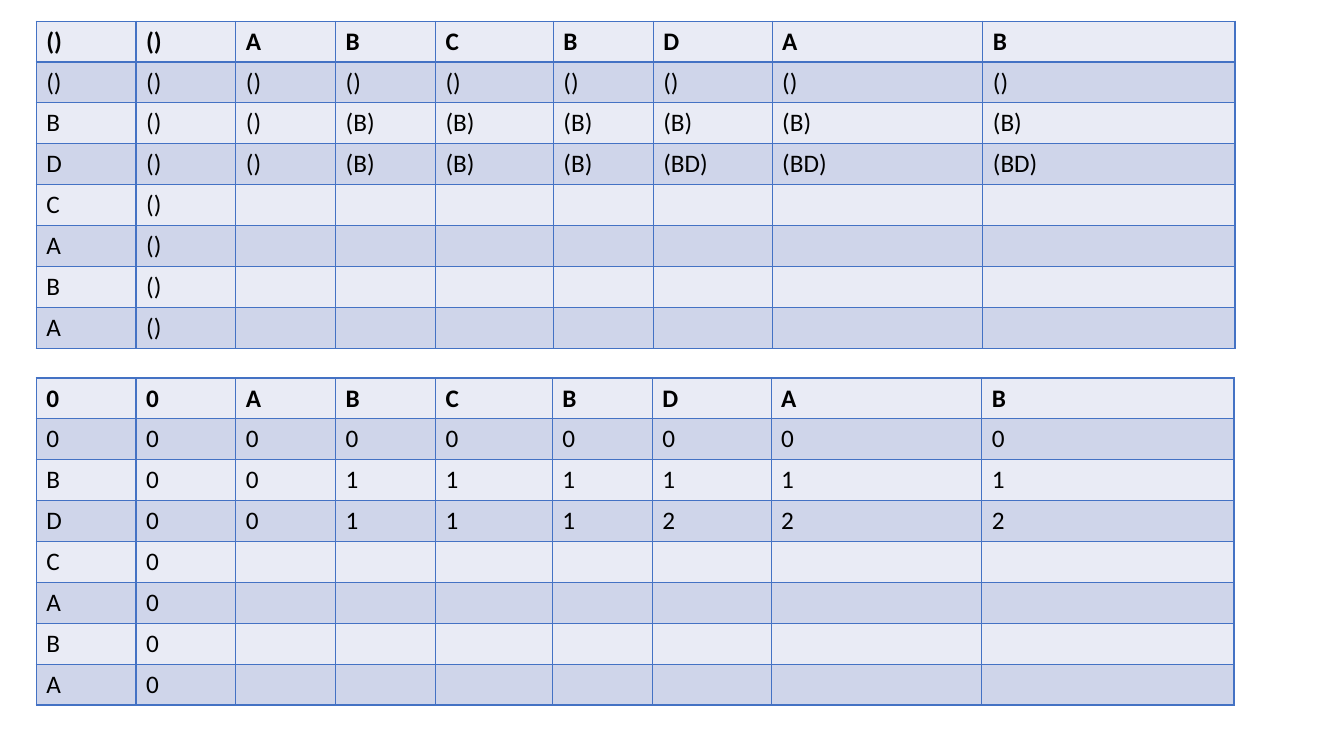
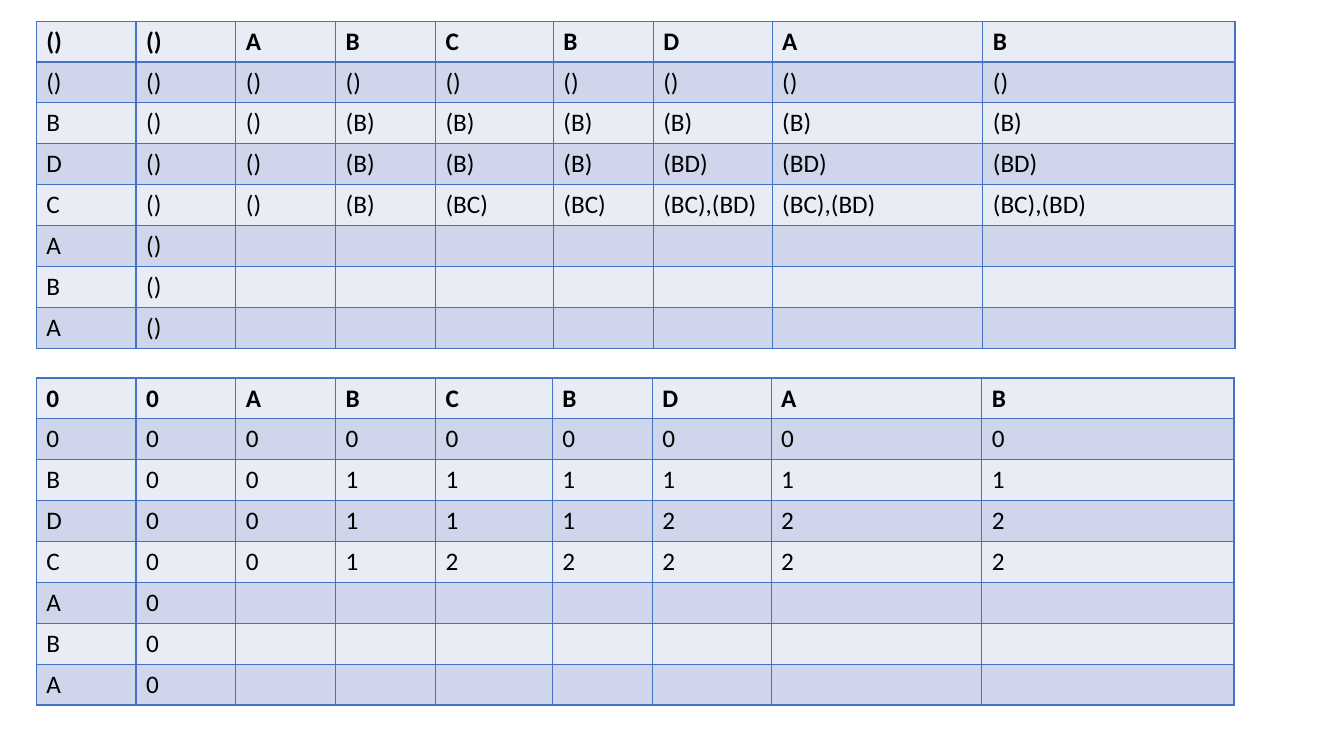
import pptx
import pptx.dml.color
import pptx.oxml
import pptx.oxml.ns
import pptx.util
from pptx.util import Inches

BORDER = pptx.dml.color.RGBColor(0x44, 0x72, 0xC4)
TEXT = pptx.dml.color.RGBColor(0x00, 0x00, 0x00)
BANDS = (
    pptx.dml.color.RGBColor(0xE9, 0xEB, 0xF5),
    pptx.dml.color.RGBColor(0xCF, 0xD5, 0xEA),
)

# The two sequences being compared, and the subsequences found row by row
ACROSS = "ABCBDAB"
DOWN = "BDCABA"
EMPTY = "()"
FOUND = [
    [EMPTY] + ["(B)"] * 6,
    [EMPTY] + ["(B)"] * 3 + ["(BD)"] * 3,
    [EMPTY, "(B)"] + ["(BC)"] * 2 + ["(BC),(BD)"] * 3,
]
ROWS_FOUND_PER_SLIDE = (2, 3)


def length_of(subsequences):
    """Length of the first listed subsequence, without its brackets."""
    return str(len(subsequences.split(",")[0]) - len(EMPTY))


def grid(found, start):
    """Header, base row, then one row per letter; open rows stay blank."""
    rows = [[start, start, *ACROSS], [start] * (len(ACROSS) + 2)]
    for index, letter in enumerate(DOWN):
        values = found[index] if index < len(found) else [""] * len(ACROSS)
        rows.append([letter, start, *values])
    return rows


class Deck:
    FONT = {"name": "Calibri", "size": pptx.util.Pt(18)}
    TABLE_FLAGS = {"first_row": False, "horz_banding": False}
    LEFT = Inches(0.36)
    TABLE_HEIGHT = Inches(3.24)

    def __init__(self):
        self.presentation = pptx.Presentation()
        self.presentation.slide_width = Inches(13.33)
        self.presentation.slide_height = Inches(7.5)
        self.slide = None

    def new_slide(self):
        blank = self.presentation.slide_layouts[6]
        self.slide = self.presentation.slides.add_slide(blank)

    def table(self, top, rows, c_width):
        """Draw a banded grid; c_width is the width of the column headed C."""
        widths = [0.99] * 4 + [c_width, 0.99, 1.18, 2.09, 2.5]
        table = self.slide.shapes.add_table(
            len(rows), len(widths), self.LEFT, Inches(top),
            Inches(sum(widths)), self.TABLE_HEIGHT).table
        for flag, value in self.TABLE_FLAGS.items():
            setattr(table, flag, value)
        for column, width in zip(table.columns, widths):
            column.width = Inches(width)
        for r, values in enumerate(rows):
            for c, value in enumerate(values):
                self.cell(table.cell(r, c), value, BANDS[r % 2], bold=r == 0)

    def cell(self, cell, value, band, bold):
        self.borders(cell)
        cell.fill.solid()
        cell.fill.fore_color.rgb = band
        cell.text = value
        font = cell.text_frame.paragraphs[0].font
        if value:
            font = cell.text_frame.paragraphs[0].runs[0].font
        for attribute, setting in {**self.FONT, "bold": bold}.items():
            setattr(font, attribute, setting)
        font.color.rgb = TEXT

    def borders(self, cell):
        properties = cell._tc.get_or_add_tcPr()
        for side in ("lnL", "lnR", "lnT", "lnB"):
            properties.append(pptx.oxml.parse_xml(
                f'<a:{side} {pptx.oxml.ns.nsdecls("a")} w="{pptx.util.Pt(1)}">'
                f'<a:solidFill><a:srgbClr val="{BORDER}"/></a:solidFill>'
                f'</a:{side}>'))


def main():
    deck = Deck()
    for row_count in ROWS_FOUND_PER_SLIDE:
        found = FOUND[:row_count]
        lengths = [[length_of(entry) for entry in row] for row in found]
        deck.new_slide()
        # Subsequences above, their lengths below
        deck.table(0.21, grid(found, EMPTY), c_width=1.17)
        deck.table(3.75, grid(lengths, length_of(EMPTY)), c_width=1.16)
    deck.presentation.save("out.pptx")


if __name__ == "__main__":
    main()
